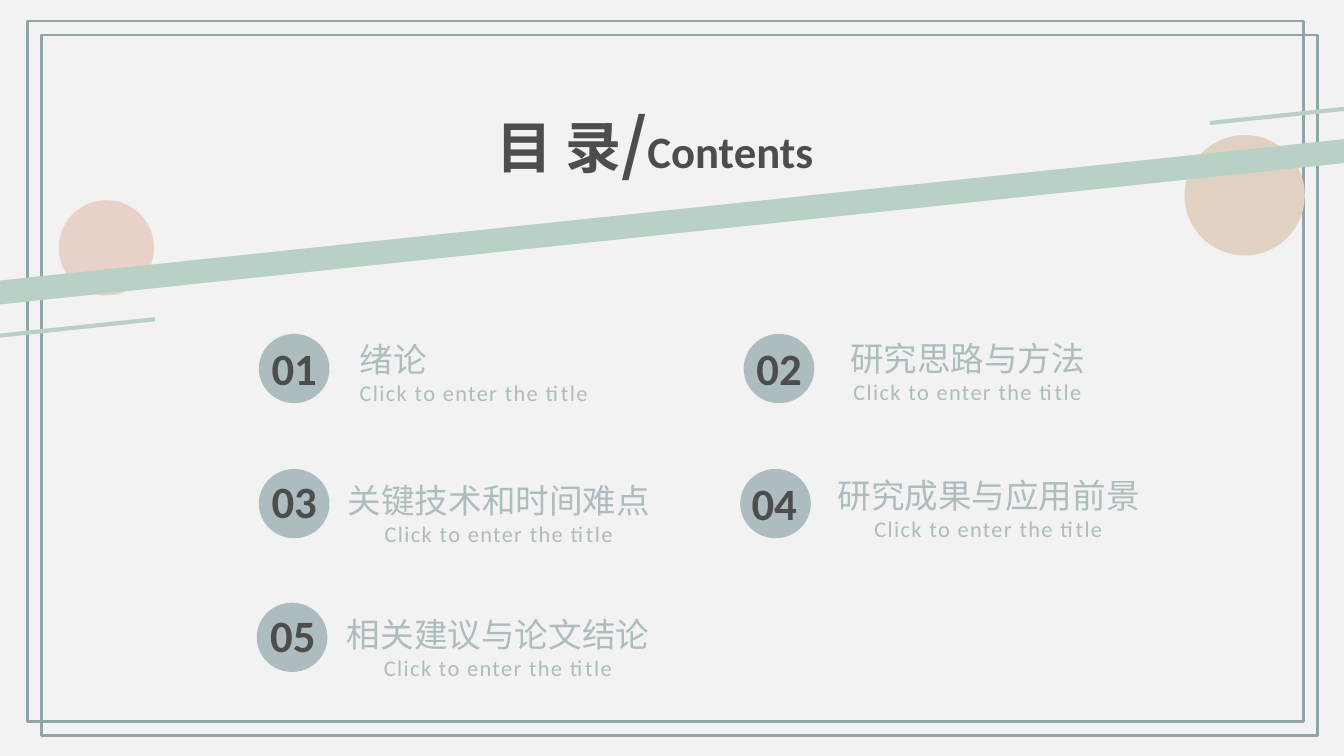
from dataclasses import dataclass
from pptx import Presentation
from pptx.dml.color import RGBColor
from pptx.enum.shapes import MSO_SHAPE
from pptx.enum.text import PP_ALIGN
from pptx.oxml.ns import qn
from pptx.util import Pt
from lxml.etree import SubElement


@dataclass
class Theme:
    back: str = "F2F2F2"
    frame: str = "91A5A7"
    pink: str = "E9D1C9"
    sand: str = "E1D1C2"
    mint: str = "B8D1C4"
    slate: str = "ADBCBE"
    dark: str = "4D4D4D"
    latin: str = "Calibri"
    hans: str = "Noto Sans CJK JP"
    mark: str = "Noto Sans CJK SC"
    head: int = 40
    slash: int = 48
    big: int = 32
    name: int = 24
    hint: int = 16


theme = Theme()
deck = Presentation()
deck.slide_width, deck.slide_height = Pt(960.5), Pt(540)
slide = deck.slides.add_slide(deck.slide_layouts[6])
slide.background.fill.solid()
slide.background.fill.fore_color.rgb = RGBColor.from_string(theme.back)


def draw(kind, box, fill=None, line=None):
    shape = slide.shapes.add_shape(kind, *map(Pt, box))
    shape.shadow.inherit = False
    if fill:
        shape.fill.solid()
        shape.fill.fore_color.rgb = RGBColor.from_string(fill)
    else:
        shape.fill.background()
    if line:
        shape.line.color.rgb = RGBColor.from_string(line)
        shape.line.width = Pt(2)
    else:
        shape.line.fill.background()
    return shape


def write(box, rows, color, bold=False, align=PP_ALIGN.LEFT):
    frame = slide.shapes.add_textbox(*map(Pt, box)).text_frame
    frame.word_wrap = True
    for i, row in enumerate(rows):
        para = frame.add_paragraph() if i else frame.paragraphs[0]
        para.alignment = align
        for text, size, face, gap in row:
            run = para.add_run()
            run.text = text
            run.font.size = Pt(size)
            run.font.bold = bold
            run.font.color.rgb = RGBColor.from_string(color)
            run.font.name = face
            SubElement(run.font._element, qn("a:ea")).set("typeface", face)
            if gap:
                run.font._element.set("spc", str(gap * 100))


for step in (0, 10):
    draw(MSO_SHAPE.RECTANGLE, (19.5 + step, 15 + step, 912, 500.5),
         line=theme.frame)

draw(MSO_SHAPE.OVAL, (42, 143, 68, 68), theme.pink)
draw(MSO_SHAPE.OVAL, (846.5, 96.5, 86, 86), theme.sand)

bars = [(-35.5, 150, 1031, 17), (864.5, 80.5, 113, 3), (-2, 232.5, 113, 3)]
for box in bars:
    draw(MSO_SHAPE.RECTANGLE, box, theme.mint).rotation = -6

title = [("目 录", theme.head, theme.hans, 0),
         ("/", theme.slash, theme.mark, 0),
         ("Contents", theme.big, theme.latin, 0)]
write((348, 68.5, 277, 65.5), [title], theme.dark, bold=True)

left, mid = PP_ALIGN.LEFT, PP_ALIGN.CENTER
items = [
    ("绪论", (185, 238.5), (187, 240), (250, 238.5), left),
    ("研究思路与方法", (531.5, 238.5), (533.5, 240), (571, 237.5), mid),
    ("关键技术和时间难点", (185, 335), (187, 335), (236, 339), mid),
    ("研究成果与应用前景", (529, 335), (530, 336), (586, 335.5), mid),
    ("相关建议与论文结论", (183.5, 430.5), (186, 430.5), (235.5, 435), mid),
]
for num, (name, dot, digit, label, align) in enumerate(items, 1):
    draw(MSO_SHAPE.OVAL, (*dot, 50.5, 49.5), theme.slate)
    write((*digit, 48, 46), [[(f"{num:02}", theme.big, theme.latin, 0)]],
          theme.dark, bold=True)
    write((*label, 241, 55.5),
          [[(name, theme.name, theme.hans, 0)],
           [("Click to enter the title", theme.hint, theme.latin, 1)]],
          theme.slate, align=align)

deck.save("out.pptx")
